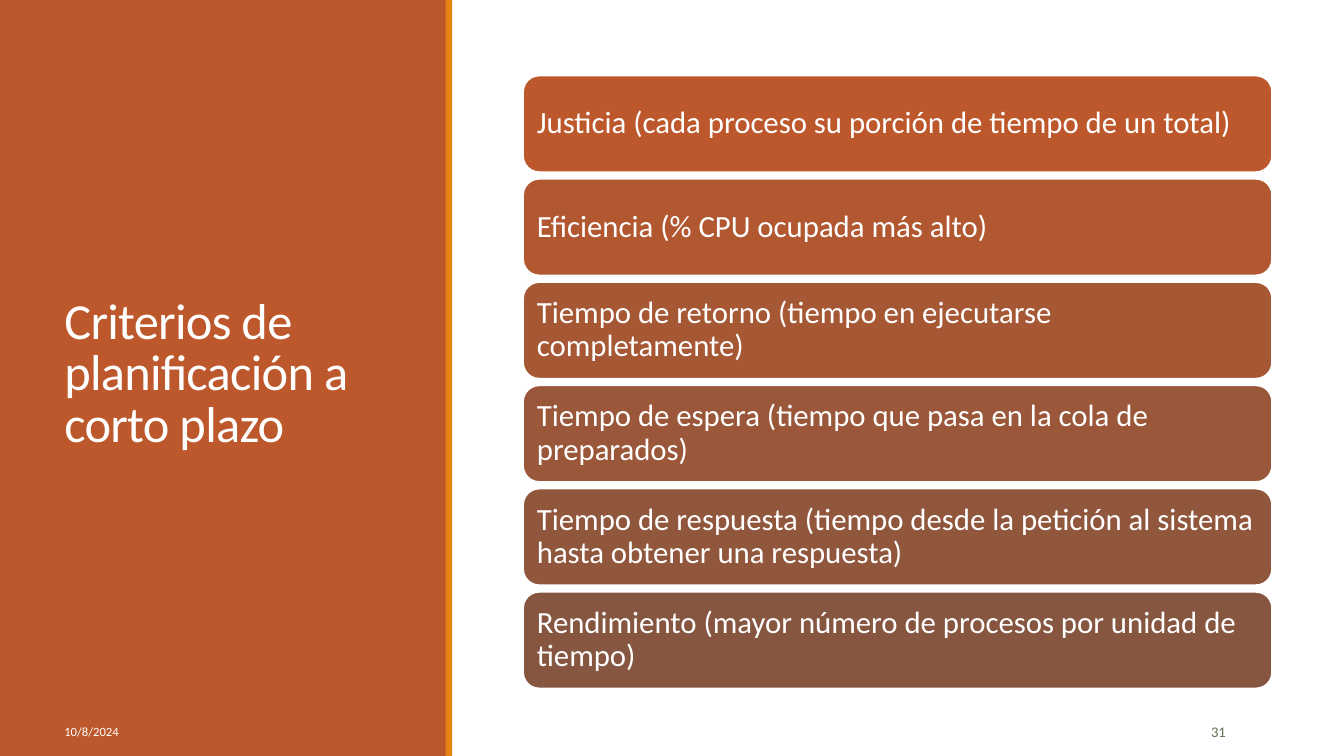
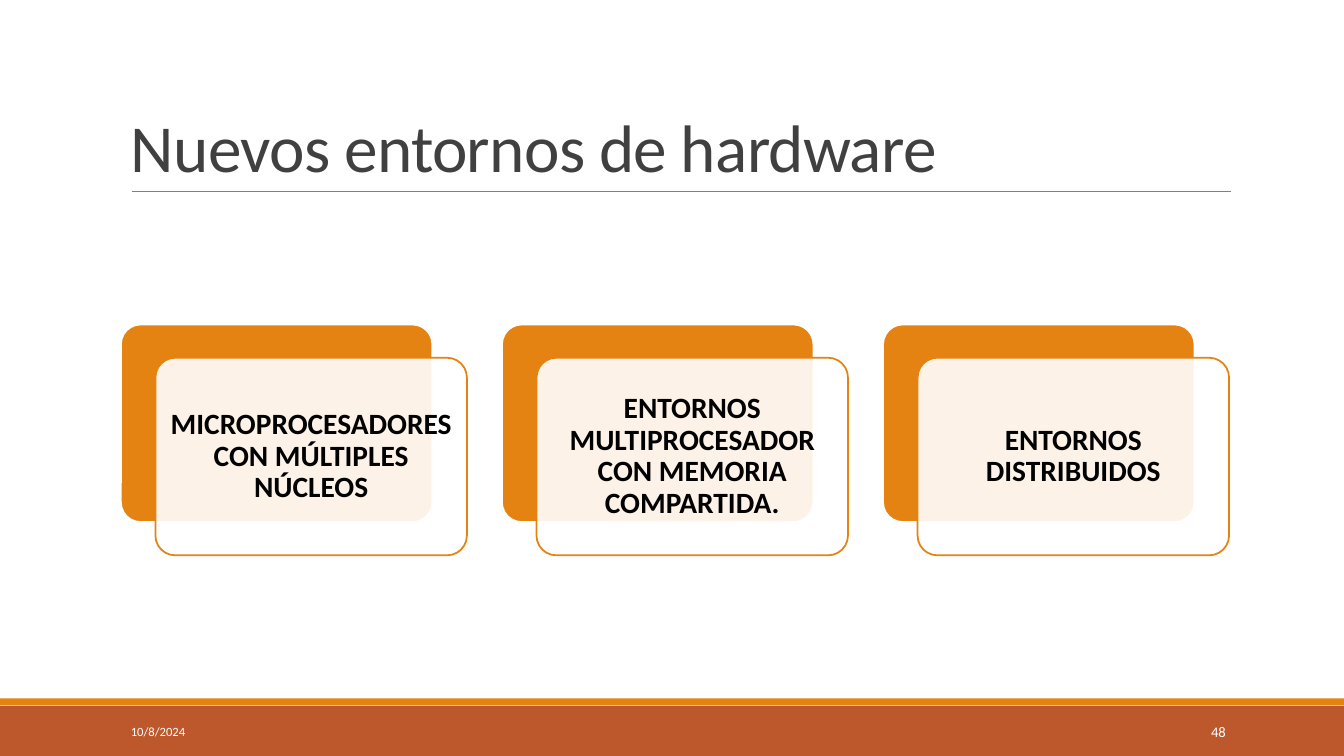
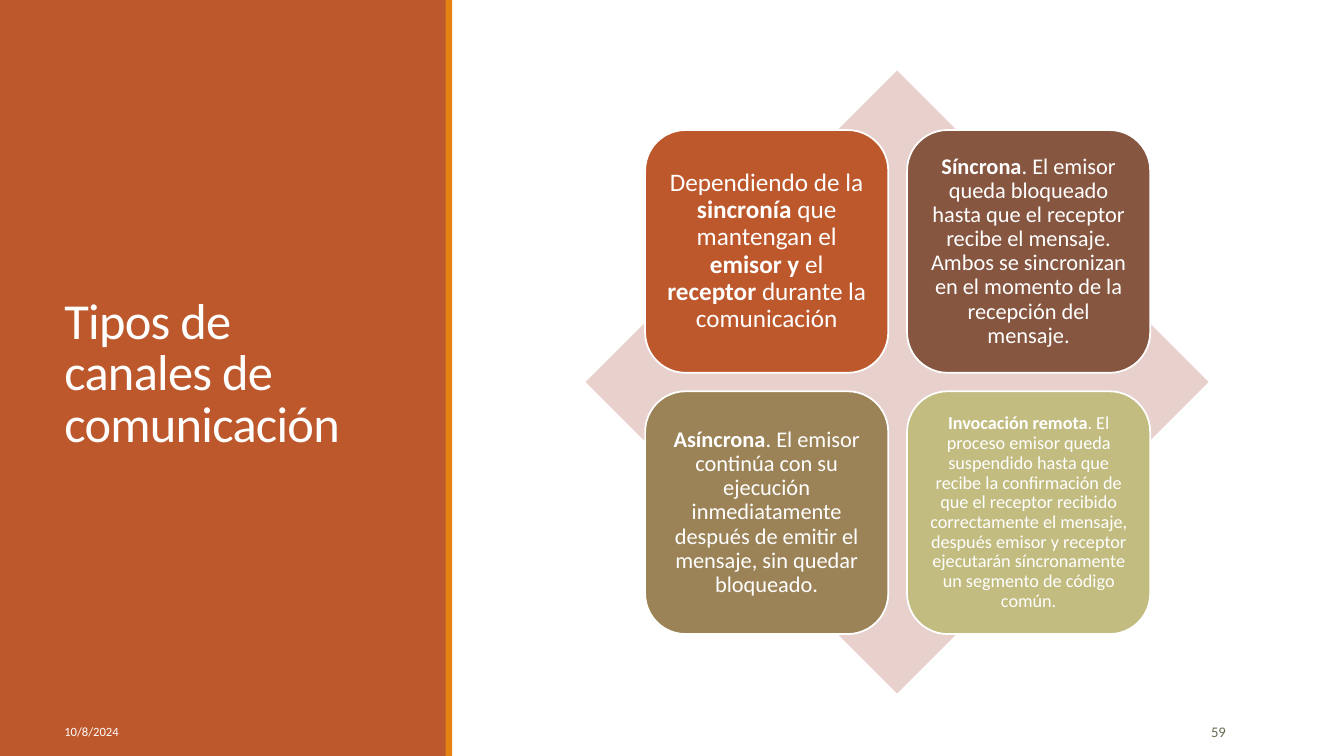
from dataclasses import dataclass

from lxml.etree import SubElement
from pptx import Presentation
from pptx.dml.color import RGBColor
from pptx.enum.shapes import MSO_CONNECTOR as Link, MSO_SHAPE as Preset
from pptx.enum.text import MSO_ANCHOR as Anchor, PP_ALIGN as Align
from pptx.oxml.ns import qn
from pptx.util import Inches, Pt

SLIDE_WIDTH, SLIDE_HEIGHT = 13.33, 7.5
DATE = "10/8/2024"


@dataclass(frozen=True)
class Theme:
    font: str = "Calibri"
    # Colours
    white: str = "FFFFFF"
    black: str = "000000"
    rust: str = "BD582C"
    orange: str = "E48312"
    brown: str = "865640"
    khaki: str = "9B8357"
    sage: str = "C2BC80"
    blush: str = "E8D1CD"
    heading: str = "404040"
    rule: str = "808080"
    page_number: str = "637052"
    ramp: tuple = ("BD582C", "B15831", "A65835", "9B5739", "90573D", "865640")
    # Type sizes and line widths, in points
    title_size: float = 48
    side_title_size: float = 36
    criterion_size: float = 22
    card_size: float = 21
    date_size: float = 9
    number_size: float = 10.5
    outline: float = 1.25
    hairline: float = 0.5


THEME = Theme()


@dataclass(frozen=True)
class Frame:
    """A rectangle in percent of the slide's width and height."""
    left: float
    top: float
    width: float
    height: float

    def lengths(self):
        return (across(self.left), down(self.top),
                across(self.width), down(self.height))

    def shifted(self, right, below):
        return Frame(self.left + right, self.top + below, self.width, self.height)

    def grid(self, columns=1, rows=1, column_gap=0, row_gap=0):
        width = (self.width - column_gap * (columns - 1)) / columns
        height = (self.height - row_gap * (rows - 1)) / rows
        return [Frame(self.left + column * (width + column_gap),
                      self.top + row * (height + row_gap), width, height)
                for row in range(rows) for column in range(columns)]


def across(percent):
    return Inches(SLIDE_WIDTH * percent / 100)


def down(percent):
    return Inches(SLIDE_HEIGHT * percent / 100)


# Element kinds

def add_panel(page, frame, fill, preset=Preset.RECTANGLE, line=None,
              corner=None, opacity=None):
    panel = page.shapes.add_shape(preset, *frame.lengths())
    panel.shadow.inherit = False
    panel.fill.solid()
    panel.fill.fore_color.rgb = RGBColor.from_string(fill)
    if opacity is not None:
        color = panel.fill._xPr.find(".//" + qn("a:srgbClr"))
        SubElement(color, qn("a:alpha"), val=str(opacity * 1000))
    if line:
        panel.line.color.rgb = RGBColor.from_string(line)
        panel.line.width = Pt(THEME.outline)
    else:
        panel.line.fill.background()
    if corner is not None:
        panel.adjustments[0] = corner
    return panel


def write(box, spans, size, color, align=Align.LEFT, anchor=Anchor.MIDDLE,
          spacing=None, inset=None, tracking=None):
    """Fill a box with one paragraph of (text, bold) spans."""
    text = box.text_frame
    text.word_wrap = True
    text.vertical_anchor = anchor
    if inset is not None:
        text.margin_left = text.margin_right = Inches(inset)
        text.margin_top = text.margin_bottom = Inches(inset)
    para = text.paragraphs[0]
    para.alignment = align
    if spacing:
        para.line_spacing = spacing
    for words, bold in spans:
        span = para.add_run()
        span.text = words
        span.font.name = THEME.font
        span.font.size = Pt(size)
        span.font.bold = bold
        span.font.color.rgb = RGBColor.from_string(color)
        if tracking is not None:
            span.font._element.set("spc", str(tracking))


def add_label(page, frame, words, size, color, **style):
    box = page.shapes.add_textbox(*frame.lengths())
    write(box, [(words, False)], size, color, **style)


def add_title(page, frame, words, size, color, anchor):
    add_label(page, frame, words, size, color, anchor=anchor,
              spacing=0.85, tracking=-50)


def add_footer(page, left, number, number_color):
    add_label(page, Frame(left, 94.13, 20.25, 5.33), DATE,
              THEME.date_size, THEME.white)
    add_label(page, Frame(81.23, 94.13, 10.72, 5.33), number,
              THEME.number_size, number_color, align=Align.RIGHT)


def add_rule(page, left, right, top):
    rule = page.shapes.add_connector(Link.STRAIGHT, across(left), down(top),
                                     across(right), down(top))
    rule.line.color.rgb = RGBColor.from_string(THEME.rule)
    rule.line.width = Pt(THEME.hairline)
    SubElement(rule._element.spPr, qn("a:effectLst"))


# Page styles

def add_page(deck):
    return deck.slides.add_slide(deck.slide_layouts[6])


def add_side_page(deck, title, number):
    page = add_page(deck)
    add_panel(page, Frame(0, 0, 33.2, 100), THEME.rust)
    add_panel(page, Frame(33.15, 0, 0.5, 100), THEME.orange)
    add_title(page, Frame(4.05, 7.6, 25.28, 84.13), title,
              THEME.side_title_size, THEME.white, Anchor.MIDDLE)
    add_footer(page, 4.05, number, THEME.page_number)
    return page


def add_band_page(deck, title, number):
    page = add_page(deck)
    add_panel(page, Frame(0, 93.33, 100, 6.67), THEME.rust)
    add_panel(page, Frame(0, 92.4, 100, 0.85), THEME.orange)
    add_rule(page, 9.82, 91.57, 25.33)
    add_title(page, Frame(9, 4.13, 82.5, 21.2), title,
              THEME.title_size, THEME.heading, Anchor.BOTTOM)
    add_footer(page, 9, number, THEME.white)
    return page


# Slides

def build_criteria(deck):
    page = add_side_page(deck, "Criterios de planificación a corto plazo", "31")
    criteria = [
        "Justicia (cada proceso su porción de tiempo de un total)",
        "Eficiencia (% CPU ocupada más alto)",
        "Tiempo de retorno (tiempo en ejecutarse completamente)",
        "Tiempo de espera (tiempo que pasa en la cola de preparados)",
        "Tiempo de respuesta (tiempo desde la petición al sistema hasta obtener una respuesta)",
        "Rendimiento (mayor número de procesos por unidad de tiempo)",
    ]
    cells = Frame(38.92, 10, 55.73, 81.07).grid(rows=len(criteria), row_gap=0.88)
    for cell, criterion, fill in zip(cells, criteria, THEME.ramp):
        bar = add_panel(page, cell, fill, Preset.ROUNDED_RECTANGLE, THEME.white)
        write(bar, [(criterion, False)], THEME.criterion_size, THEME.white,
              spacing=0.9, inset=0.09)


def build_hardware(deck):
    page = add_band_page(deck, "Nuevos entornos de hardware", "48")
    environments = [
        "MICROPROCESADORES CON MÚLTIPLES NÚCLEOS",
        "ENTORNOS MULTIPROCESADOR CON MEMORIA COMPARTIDA.",
        "ENTORNOS DISTRIBUIDOS",
    ]
    cells = Frame(9, 42.93, 79.88, 26.13).grid(columns=len(environments),
                                              column_gap=5.18)
    for cell, environment in zip(cells, environments):
        add_panel(page, cell, THEME.orange, Preset.ROUNDED_RECTANGLE,
                  THEME.white, corner=0.1)
        card = add_panel(page, cell.shifted(2.57, 4.4), THEME.white,
                         Preset.ROUNDED_RECTANGLE, THEME.orange,
                         corner=0.1, opacity=90)
        write(card, [(environment, True)], THEME.card_size, THEME.black,
              align=Align.CENTER, spacing=0.9, inset=0.09)


def build_channels(deck):
    page = add_side_page(deck, "Tipos de canales de comunicación", "59")
    add_panel(page, Frame(43.58, 9.33, 46.35, 82.4), THEME.blush, Preset.DIAMOND)
    # Fill, type size, inset, spans
    channels = [
        (THEME.rust, 18, 0.07, [
            ("Dependiendo de la ", False), ("sincronía ", True),
            ("que mantengan el ", False), ("emisor y ", True),
            ("el ", False), ("receptor ", True),
            ("durante la comunicación", False)]),
        (THEME.brown, 16, 0.07, [
            ("Síncrona", True),
            (". El emisor queda bloqueado hasta que el receptor recibe el mensaje. "
             "Ambos se sincronizan en el momento de la recepción del mensaje.", False)]),
        (THEME.khaki, 16, 0.07, [
            ("Asíncrona", True),
            (". El emisor continúa con su ejecución inmediatamente después de "
             "emitir el mensaje, sin quedar bloqueado.", False)]),
        (THEME.sage, 13, 0.05, [
            ("Invocación remota", True),
            (". El proceso emisor queda suspendido hasta que recibe la confirmación "
             "de que el receptor recibido correctamente el mensaje, después emisor y "
             "receptor ejecutarán síncronamente un segmento de código común.", False)]),
    ]
    cells = Frame(48, 17.2, 37.58, 66.67).grid(2, 2, 1.4, 2.45)
    for cell, (fill, size, inset, spans) in zip(cells, channels):
        tile = add_panel(page, cell, fill, Preset.ROUNDED_RECTANGLE, THEME.white)
        write(tile, spans, size, THEME.white, align=Align.CENTER,
              spacing=0.9, inset=inset)


def main():
    deck = Presentation()
    deck.slide_width = Inches(SLIDE_WIDTH)
    deck.slide_height = Inches(SLIDE_HEIGHT)
    build_criteria(deck)
    build_hardware(deck)
    build_channels(deck)
    deck.save("out.pptx")


if __name__ == "__main__":
    main()
